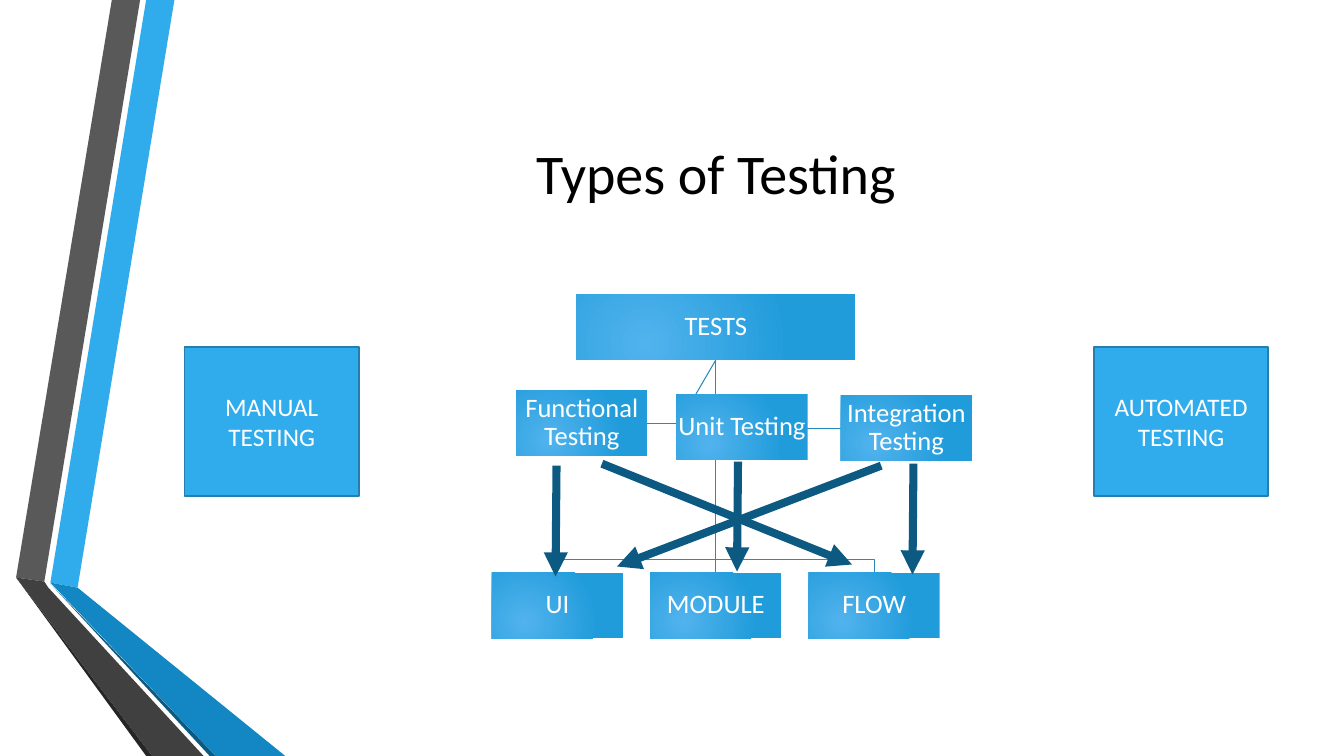
import dataclasses

import pptx
import pptx.dml.color
import pptx.enum.shapes
import pptx.enum.text
import pptx.oxml
import pptx.oxml.ns
import pptx.util
from pptx.util import Inches


@dataclasses.dataclass(frozen=True)
class Theme:
    """Colours, font and type sizes of the slide."""
    font: str = "Calibri"
    title_size: int = 40
    node_size: int = 19
    label_size: int = 18
    black: str = "000000"
    white: str = "FFFFFF"
    sky: str = "30ACEC"
    sky_edge: str = "247FAF"
    blue: str = "1287C3"
    navy: str = "0C5A82"
    branch: str = "268ABD"
    glow: str = "51B3ED"
    glow_edge: str = "219CDB"
    gray: str = "595959"
    dark_gray: str = "404040"
    shadow_gray: str = "262626"


THEME = Theme()


def rgb(value):
    """Return a colour from its hexadecimal form."""
    return pptx.dml.color.RGBColor.from_string(value)


def element(tag, **attributes):
    """Return a new drawing element with attributes."""
    markup = "".join(f' {name}="{value}"' for name, value in attributes.items())
    return pptx.oxml.parse_xml(f"<{tag} {pptx.oxml.ns.nsdecls('a')}{markup}/>")


def write(shape, text, size, colour, inset=None, spacing=None):
    """Put one centred run of text in a shape."""
    frame = shape.text_frame
    frame.word_wrap = True
    frame.vertical_anchor = pptx.enum.text.MSO_ANCHOR.MIDDLE
    if inset is not None:
        frame.margin_left = frame.margin_right = Inches(inset)
        frame.margin_top = frame.margin_bottom = Inches(inset)
    paragraph = frame.paragraphs[0]
    paragraph.alignment = pptx.enum.text.PP_ALIGN.CENTER
    paragraph.line_spacing = spacing
    run = paragraph.add_run()
    run.text = text
    run.font.name = THEME.font
    run.font.size = pptx.util.Pt(size)
    run.font.color.rgb = rgb(colour)


def add_outline(slide, points, closed):
    """Build an outline through points given in inches."""
    corners = [(Inches(x), Inches(y)) for x, y in points]
    builder = slide.shapes.build_freeform(*corners[0])
    builder.add_line_segments(corners[1:], close=closed)
    shape = builder.convert_to_shape()
    shape.shadow.inherit = False
    return shape


def add_rectangle(slide, box):
    """Add a plain rectangle without a shadow."""
    shape = slide.shapes.add_shape(
        pptx.enum.shapes.MSO_SHAPE.RECTANGLE, *map(Inches, box))
    shape.shadow.inherit = False
    return shape


def add_line(slide, start, end, colour, width, arrow=False):
    """Add a straight line, with an arrowhead at its end if asked."""
    line = slide.shapes.add_connector(
        pptx.enum.shapes.MSO_CONNECTOR.STRAIGHT, *map(Inches, (*start, *end)))
    line.line.color.rgb = rgb(colour)
    line.line.width = pptx.util.Pt(width)
    if arrow:
        line.line._get_or_add_ln().append(element("a:tailEnd", type="triangle"))
    line._element.spPr.append(element("a:effectLst"))


def add_ribbons(slide, box):
    """Draw the folded ribbons down the left edge of the box."""
    left, top, width, height = box
    bottom = top + height
    ribbons = [
        (THEME.sky, [(0.5, 5.78), (0.77, 5.83), (1.73, 0), (1.45, 0)]),
        (THEME.gray, [(1.39, 0), (1.11, 0), (0.16, 5.73), (0.44, 5.77)]),
        (THEME.shadow_gray, [(0.16, 5.73), (1.45, bottom), (1.51, bottom)]),
        (THEME.navy, [(0.5, 5.79), (2.08, bottom), (2.14, bottom)]),
        (THEME.blue, [(0.5, 5.78), (2.14, bottom), (2.83, bottom), (0.77, 5.83)]),
        (THEME.dark_gray, [(2.02, bottom), (0.48, 5.83), (0.44, 5.77),
                           (0.16, 5.73), (1.51, bottom)]),
    ]
    for colour, points in ribbons:
        shape = add_outline(slide, [(left + x, top + y) for x, y in points], True)
        shape.fill.solid()
        shape.fill.fore_color.rgb = rgb(colour)
        shape.line.fill.background()


def add_title(slide, box):
    """Add the slide title."""
    title = slide.shapes.add_textbox(*map(Inches, box))
    write(title, "Types of Testing", THEME.title_size, THEME.black)


def add_node(slide, box, text):
    """Add one tree node with a radial gradient."""
    node = add_rectangle(slide, box)
    node.line.fill.background()
    node.fill.gradient()
    for stop, colour in zip(node.fill.gradient_stops, (THEME.glow, THEME.glow_edge)):
        stop.color.rgb = rgb(colour)
    gradient = node._element.spPr.find(pptx.oxml.ns.qn("a:gradFill"))
    gradient.remove(gradient.find(pptx.oxml.ns.qn("a:lin")))
    radial = element("a:path", path="circle")
    radial.append(element("a:fillToRect", l=50000, t=100000, r=100000, b=50000))
    gradient.append(radial)
    write(node, text, THEME.node_size, THEME.white, inset=0.01, spacing=0.9)


def add_tree(slide, box):
    """Draw the tree of tests with its branches and arrows."""
    left, top, width, height = box
    node_width, node_height, root_width = 1.3, 0.65, 2.77
    centre = left + 2.22
    trunk = top + node_height
    leaf_top = top + height - node_height
    rail = leaf_top - 0.13
    pitch = 1.57
    kinds = [("Functional Testing", 0.24, 0.95), ("Unit Testing", 1.83, 0.99),
             ("Integration Testing", 3.46, 1.0)]
    middle = top + 1.32
    branches = [
        [(centre, trunk), (centre, middle + 0.01), (left + 3.46, middle + 0.01)],
        [(centre, trunk), (left + 1.83, middle)],
        [(centre, trunk), (centre, top + 1.28),
         (left + 0.24 + node_width, top + 1.28)],
    ]
    branches += [[(centre, trunk), (centre, rail), (centre + side * pitch, rail),
                  (centre + side * pitch, leaf_top)] for side in (1, -1)]
    for points in branches:
        branch = add_outline(slide, points, False)
        branch.fill.background()
        branch.line.color.rgb = rgb(THEME.branch)
        branch.line.width = pptx.util.Pt(0.75)
    add_line(slide, (centre, trunk), (centre, leaf_top), THEME.branch, 0.75)

    add_node(slide, (centre - root_width / 2, top, root_width, node_height), "TESTS")
    for index, text in enumerate(("UI", "MODULE", "FLOW")):
        add_node(slide, (left + index * pitch, leaf_top, node_width, node_height), text)
    for text, x, y in kinds:
        add_node(slide, (left + x, top + y, node_width, node_height), text)

    arrows = [((0.64, 1.7), (0.63, 2.8)), ((2.44, 1.66), (2.43, 2.75)),
              ((4.18, 1.68), (4.17, 2.78)), ((1.09, 1.68), (3.57, 2.68)),
              ((3.86, 1.7), (1.24, 2.7))]
    for start, end in arrows:
        add_line(slide, (left + start[0], top + start[1]),
                 (left + end[0], top + end[1]), THEME.navy, 5.75, arrow=True)


def add_approach(slide, box, text):
    """Add one framed box that names a testing approach."""
    shape = add_rectangle(slide, box)
    shape.fill.solid()
    shape.fill.fore_color.rgb = rgb(THEME.sky)
    shape.line.color.rgb = rgb(THEME.sky_edge)
    shape.line.width = pptx.util.Pt(1.25)
    write(shape, text, THEME.label_size, THEME.white)


def main():
    """Build the slide and save it."""
    presentation = pptx.Presentation()
    presentation.slide_width = Inches(13.33)
    presentation.slide_height = Inches(7.5)
    slide = presentation.slides.add_slide(presentation.slide_layouts[6])
    add_ribbons(slide, (0, 0, 2.83, 7.5))
    add_title(slide, (1.62, 0.75, 10.96, 1.92))
    add_tree(slide, (4.88, 2.92, 4.76, 3.41))
    add_approach(slide, (10.85, 3.44, 1.73, 1.48), "AUTOMATED TESTING")
    add_approach(slide, (1.83, 3.44, 1.73, 1.48), "MANUAL TESTING")
    presentation.save("out.pptx")


if __name__ == "__main__":
    main()
